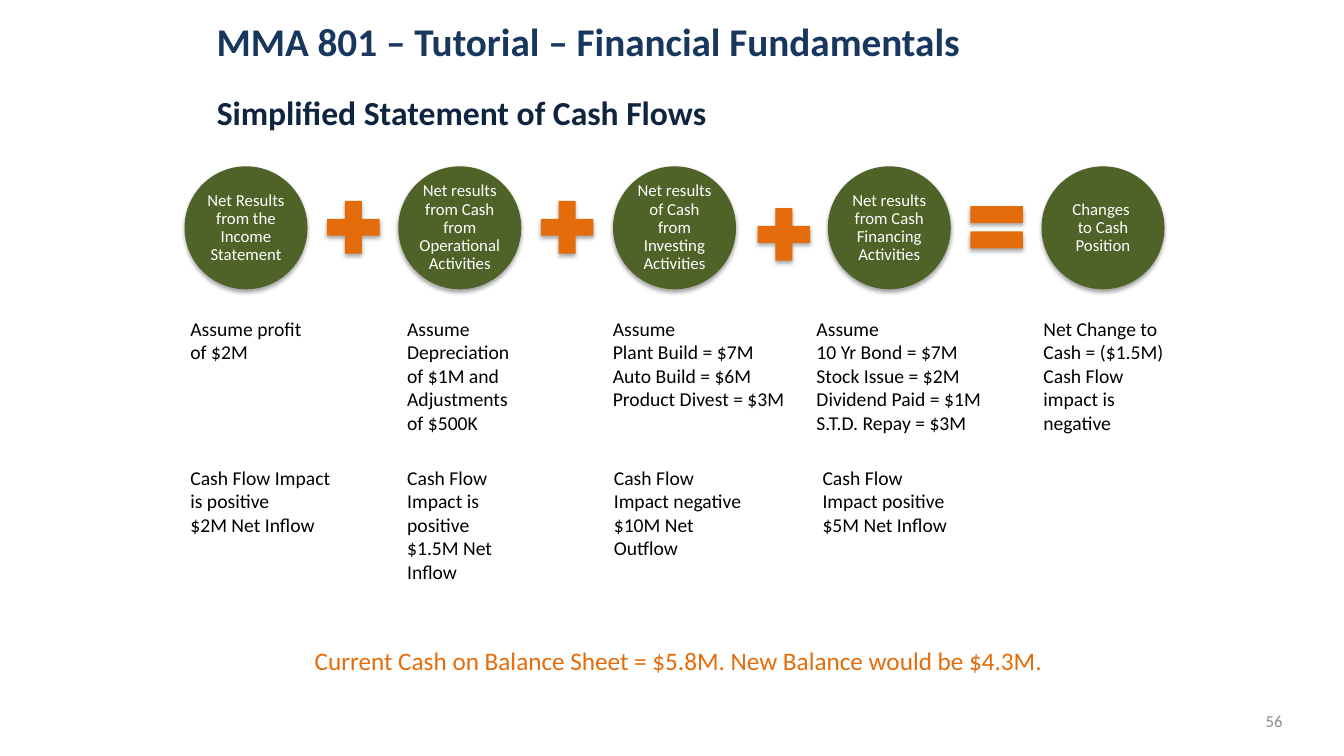
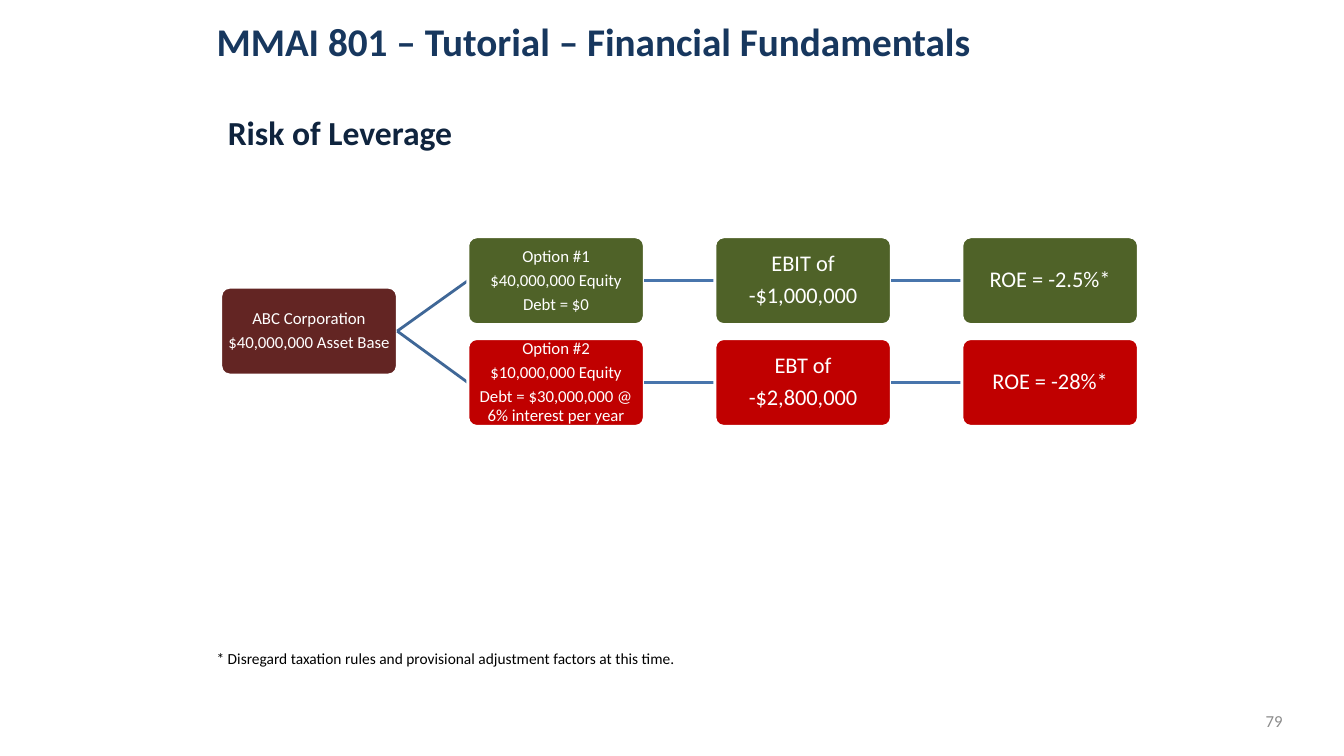
from dataclasses import dataclass

from lxml.etree import SubElement
from pptx import Presentation
from pptx.dml.color import RGBColor
from pptx.enum.shapes import MSO_CONNECTOR, MSO_SHAPE
from pptx.enum.text import MSO_ANCHOR, MSO_AUTO_SIZE, PP_ALIGN
from pptx.oxml.ns import qn
from pptx.util import Emu, Pt

PX = 9144  # one px is a hundredth of an inch
TITLE_ONLY = 5
RIGHT_SITE, LEFT_SITE = 3, 1


@dataclass(frozen=True)
class Theme:
    font: str = "Calibri"
    course: str = "17375E"
    topic: str = "0F243E"
    body: str = "000000"
    number: str = "8C8C8C"
    white: str = "FFFFFF"
    green: str = "4F6228"
    orange: str = "E46C0A"
    maroon: str = "632523"
    red: str = "C00000"
    branch: str = "3F6797"
    link: str = "4875AC"
    course_size: int = 28
    topic_size: int = 24
    summary_size: int = 18
    result_size: int = 16
    body_size: int = 14
    small_size: int = 12
    note_size: int = 11


THEME = Theme()


@dataclass(frozen=True)
class Box:
    left: int
    top: int
    width: int
    height: int

    def emu(self):
        return [Emu(px * PX) for px in (self.left, self.top, self.width, self.height)]


COURSE_BOX = Box(205, 5, 820, 71)
NUMBER_BOX = Box(982, 695, 300, 40)

# Cash flow content: circle label, following operator with its nudge in px
PLUS, EQUAL = MSO_SHAPE.MATH_PLUS, MSO_SHAPE.MATH_EQUAL
CASH_STEPS = [
    ("Net Results from the Income Statement", PLUS, (0, 0)),
    ("Net results from Cash from Operational Activities", PLUS, (0, 0)),
    ("Net results of Cash from Investing Activities", PLUS, (2, 7)),
    ("Net results from Cash Financing Activities", EQUAL, (0, 0)),
    ("Changes \vto Cash Position", None, None),
]
# Each entry: left, width and height in px, then the text
ASSUMPTIONS = [
    (0, 147, 57, "Assume profit of $2M"),
    (215, 134, 128, "Assume Depreciation of $1M and Adjustments of $500K"),
    (419, 194, 104, "Assume\nPlant Build = $7M\nAuto Build = $6M\nProduct Divest = $3M"),
    (621, 206, 128, "Assume\n10 Yr Bond = $7M\nStock Issue = $2M\n"
                    "Dividend Paid = $1M\nS.T.D. Repay = $3M"),
    (846, 149, 128, "Net Change to Cash = ($1.5M)\nCash Flow impact is negative"),
]
IMPACTS = [
    (0, 167, 81, "Cash Flow Impact is positive\n$2M Net Inflow"),
    (215, 134, 128, "Cash Flow Impact is positive\n$1.5M Net Inflow"),
    (420, 156, 104, "Cash Flow Impact negative\n$10M Net Outflow"),
    (627, 146, 81, "Cash Flow Impact positive\n$5M Net Inflow"),
]

# Leverage content: colour, then the chain of boxes from left to right
COMPANY = "ABC Corporation\n$40,000,000 Asset Base"
OPTIONS = [
    (THEME.green, ["Option #1\n$40,000,000 Equity\nDebt = $0",
                   "EBIT of\n-$1,000,000", "ROE = -2.5%*"]),
    (THEME.red, ["Option #2\n$10,000,000 Equity\nDebt = $30,000,000 @ 6% interest per year",
                 "EBT of\n-$2,800,000", "ROE = -28%*"]),
]


def set_all(target, formats):
    for name, value in formats.items():
        setattr(target, name, value)


def write(frame, text, size, color, bold=False, paragraph=None, **frame_formats):
    frame.text = text
    set_all(frame, {"word_wrap": True, **frame_formats})
    for para in frame.paragraphs:
        set_all(para, {"alignment": PP_ALIGN.LEFT, **(paragraph or {})})
        for run in para.runs:
            set_all(run.font, {"name": THEME.font, "size": Pt(size), "bold": bold})
            run.font.color.rgb = RGBColor.from_string(color)


def add_text(slide, box, text, size, color, **formats):
    write(slide.shapes.add_textbox(*box.emu()).text_frame, text, size, color, **formats)


def add_grown_text(slide, box, text, size, color, **formats):
    add_text(slide, box, text, size, color,
             auto_size=MSO_AUTO_SIZE.SHAPE_TO_FIT_TEXT, **formats)


def add_solid(slide, kind, box, fill, outline=None):
    solid = slide.shapes.add_shape(kind, *box.emu())
    solid.fill.solid()
    solid.fill.fore_color.rgb = RGBColor.from_string(fill)
    if outline:
        solid.line.color.rgb = RGBColor.from_string(outline)
        solid.line.width = Pt(2)
    else:
        solid.line.fill.background()
    solid.shadow.inherit = False
    return solid


def write_label(solid, text, size, inset):
    margins = {f"margin_{side}": Emu(inset * PX)
               for side in ("left", "right", "top", "bottom")}
    write(solid.text_frame, text, size, THEME.white,
          paragraph={"alignment": PP_ALIGN.CENTER, "line_spacing": 0.9,
                     "space_after": Pt(0.35 * size)},
          vertical_anchor=MSO_ANCHOR.MIDDLE, **margins)


def drop_shadow(solid):
    effects = solid.element.spPr.find(qn("a:effectLst"))
    shadow = SubElement(effects, qn("a:outerShdw"), blurRad=str(Pt(3.1)),
                        dist=str(Pt(1.8)), dir="5400000", rotWithShape="0")
    black = SubElement(shadow, qn("a:srgbClr"), val="000000")
    SubElement(black, qn("a:alpha"), val="35000")


def start_slide(deck, course, topic, topic_box, number):
    """Shared frame: course heading, topic title and slide number."""
    slide = deck.slides.add_slide(deck.slide_layouts[TITLE_ONLY])
    title = slide.shapes.title
    set_all(title, dict(zip(("left", "top", "width", "height"), topic_box.emu())))
    middle = {"vertical_anchor": MSO_ANCHOR.MIDDLE}
    write(title.text_frame, topic, THEME.topic_size, THEME.topic, bold=True, **middle)
    add_text(slide, COURSE_BOX, f"{course} – Tutorial – Financial Fundamentals",
             THEME.course_size, THEME.course, bold=True, **middle)
    add_text(slide, NUMBER_BOX, number, THEME.small_size, THEME.number,
             paragraph={"alignment": PP_ALIGN.RIGHT}, **middle)
    return slide


def add_equation(slide, box):
    """Row of circles joined by plus and equal signs."""
    diameter, sign = box.height, 71
    pitch = (box.width - diameter) / (len(CASH_STEPS) - 1)
    for index, (label, operator, nudge) in enumerate(CASH_STEPS):
        left = box.left + round(index * pitch)
        circle = add_solid(slide, MSO_SHAPE.OVAL,
                           Box(left, box.top, diameter, diameter), THEME.green)
        drop_shadow(circle)
        write_label(circle, label, THEME.small_size, inset=2)
        if operator:
            sign_box = Box(left + diameter + 10 + nudge[0],
                           box.top + (diameter - sign) // 2 + nudge[1], sign, sign)
            drop_shadow(add_solid(slide, operator, sign_box, THEME.orange))


def add_remarks(slide, box, remarks):
    """Row of remarks below the circles."""
    for offset, width, height, text in remarks:
        add_grown_text(slide, Box(box.left + offset, box.top, width, height), text,
                       THEME.body_size, THEME.body)


def add_leverage_tree(slide, box):
    """Company on the left, one chain of boxes for each option."""
    width, height = 175, 87
    column_pitch = (box.width - width) // 3
    row_pitch = box.height - height

    def add_node(column, top, text, fill, size):
        node_box = Box(box.left + column * column_pitch, top, width, height)
        node = add_solid(slide, MSO_SHAPE.ROUNDED_RECTANGLE, node_box, fill, THEME.white)
        node.adjustments[0] = 0.1
        write_label(node, text, size, inset=1)
        return node

    company = add_node(0, box.top + row_pitch // 2, COMPANY, THEME.maroon,
                       THEME.small_size)
    for row, (fill, chain) in enumerate(OPTIONS):
        source = company
        for column, text in enumerate(chain, start=1):
            first = column == 1
            # The link goes in before its target, so it stays behind it
            link = slide.shapes.add_connector(MSO_CONNECTOR.STRAIGHT, 0, 0, 0, 0)
            link.line.color.rgb = RGBColor.from_string(
                THEME.branch if first else THEME.link)
            link.line.width = Pt(2)
            SubElement(link.element.spPr, qn("a:effectLst"))
            node = add_node(column, box.top + row * row_pitch, text, fill,
                            THEME.small_size if first else THEME.result_size)
            link.begin_connect(source, RIGHT_SITE)
            link.end_connect(node, LEFT_SITE)
            source = node


def build_cash_flow_slide(deck):
    slide = start_slide(deck, "MMA 801", "Simplified Statement of Cash Flows",
                        Box(205, 78, 693, 66), "56")
    add_equation(slide, Box(183, 165, 972, 122))
    add_remarks(slide, Box(179, 309, 995, 128), ASSUMPTIONS)
    add_remarks(slide, Box(179, 457, 995, 128), IMPACTS)
    add_grown_text(slide, Box(217, 635, 912, 40),
                   "Current Cash on Balance Sheet = $5.8M. New Balance would be $4.3M.",
                   THEME.summary_size, THEME.orange,
                   paragraph={"alignment": PP_ALIGN.CENTER})


def build_leverage_slide(deck):
    slide = start_slide(deck, "MMAI 801", "Risk of Leverage",
                        Box(216, 96, 820, 71), "79")
    add_leverage_tree(slide, Box(219, 235, 910, 188))
    add_grown_text(slide, Box(205, 639, 627, 29),
                   "* Disregard taxation rules and provisional adjustment factors "
                   "at this time.", THEME.note_size, THEME.body)


def main():
    deck = Presentation()
    set_all(deck, {"slide_width": Emu(1333 * PX), "slide_height": Emu(750 * PX)})
    build_cash_flow_slide(deck)
    build_leverage_slide(deck)
    deck.save("out.pptx")


if __name__ == "__main__":
    main()
